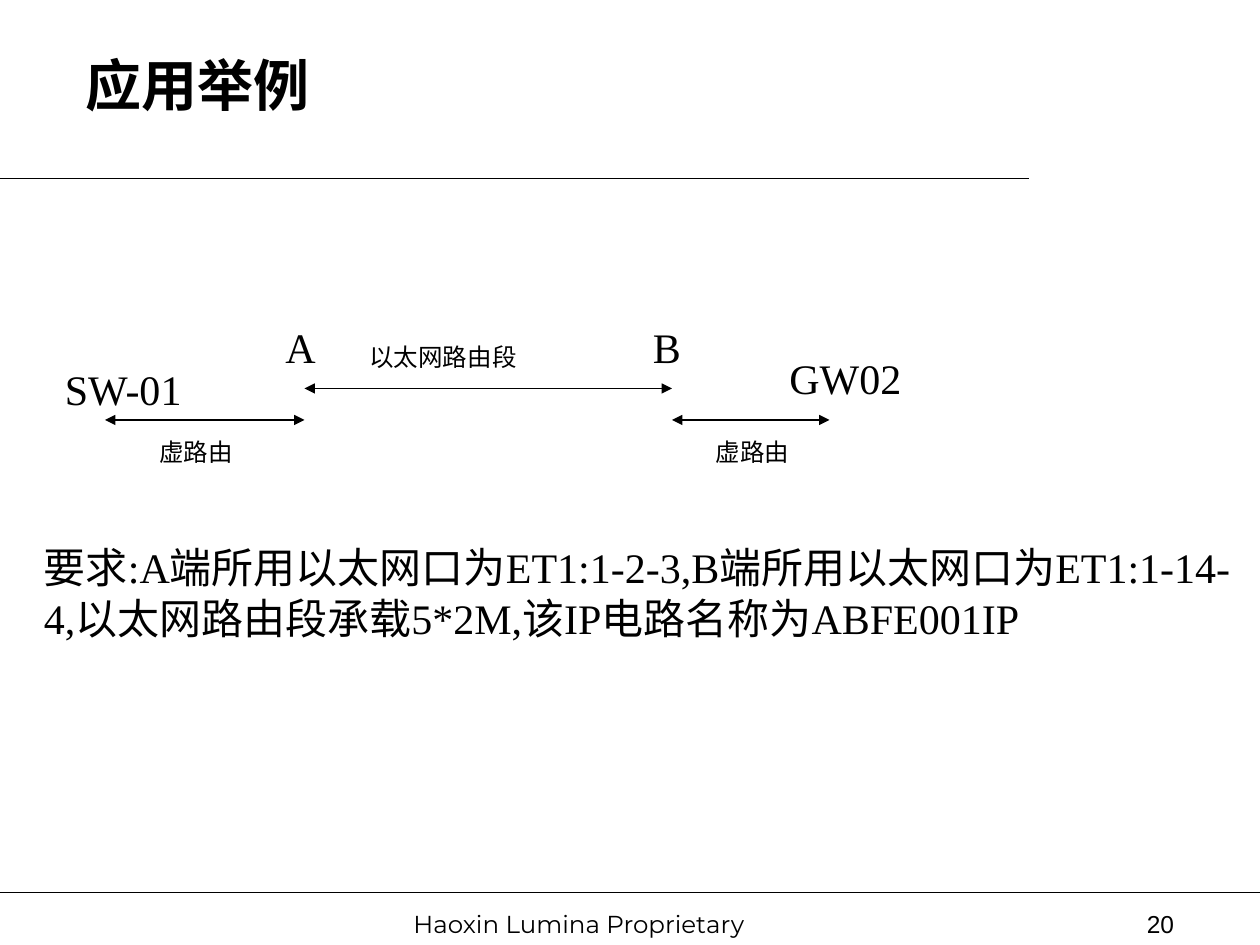
from collections import namedtuple
from dataclasses import dataclass

from lxml import etree
from pptx import Presentation
from pptx.dml.color import RGBColor
from pptx.enum.shapes import MSO_CONNECTOR
from pptx.enum.text import MSO_ANCHOR, PP_ALIGN
from pptx.oxml.ns import qn
from pptx.util import Inches, Pt

STRAIGHT = MSO_CONNECTOR.STRAIGHT
TOP, MIDDLE = MSO_ANCHOR.TOP, MSO_ANCHOR.MIDDLE
LEFT, RIGHT = PP_ALIGN.LEFT, PP_ALIGN.RIGHT

# The slide is a grid of 120 columns by 90 rows
CELL = Inches(10) // 120
COLS, ROWS = 120, 90
Box = namedtuple("Box", "col row cols rows")


@dataclass(frozen=True)
class Theme:
    ink: RGBColor = RGBColor(0, 0, 0)
    paper: RGBColor = RGBColor(255, 255, 255)
    serif: str = "Times New Roman"
    footer: str = "Montserrat"
    number: str = "Arial"
    title: int = 32
    body: int = 24
    small: int = 14
    rule: float = 0.75


THEME = Theme()


def inside(region, col, row, cols, rows):
    """Box given in cells from the region's top left corner."""
    return Box(region.col + col, region.row + row, cols, rows)


def add_text(slide, box, text, size=THEME.small, font=THEME.serif, bold=False,
             align=LEFT, anchor=TOP, indent=0, tab=None):
    holder = slide.shapes.add_textbox(*(CELL * n for n in box))
    frame = holder.text_frame
    frame.word_wrap = True
    frame.vertical_anchor = anchor
    paragraph = frame.paragraphs[0]
    paragraph.alignment = align
    properties = paragraph._p.get_or_add_pPr()
    if indent:
        properties.set("marL", str(Inches(indent)))
    if tab:
        stops = etree.SubElement(properties, qn("a:tabLst"))
        etree.SubElement(stops, qn("a:tab"), pos=str(Inches(tab)), algn="l")
    run = paragraph.add_run()
    run.text = text
    run.font.size = Pt(size)
    run.font.name = font
    run.font.bold = bold
    run.font.color.rgb = THEME.ink


def add_rule(slide, col, row, cols, arrows=False):
    rule = slide.shapes.add_connector(
        STRAIGHT, CELL * col, CELL * row, CELL * (col + cols), CELL * row)
    rule.line.color.rgb = THEME.ink
    rule.line.width = Pt(THEME.rule)
    if arrows:
        outline = rule.line._get_or_add_ln()
        for end in ("a:headEnd", "a:tailEnd"):
            etree.SubElement(outline, qn(end), type="triangle")
    etree.SubElement(rule._element.spPr, qn("a:effectLst"))


def add_header(slide, region):
    add_text(slide, inside(region, 7, 5, 103, 6), "应用举例",
             size=THEME.title, bold=True, anchor=MIDDLE)
    add_rule(slide, region.col, region.row + region.rows, 98)


def add_route_diagram(slide, region):
    # Route segments: column, row, length
    for col, row, cols in ((24, 7, 35), (5, 10, 19), (59, 10, 15)):
        add_rule(slide, region.col + col, region.row + row, cols, arrows=True)

    # Segment labels
    for text, col, row, cols in (("以太网路由段", 29, 2, 25),
                                 ("虚路由", 9, 11, 14),
                                 ("虚路由", 62, 11, 11)):
        add_text(slide, inside(region, col, row, cols, 4), text)

    # Devices and Ethernet ends
    for text, col, row, cols in (("SW-01", 0, 4, 18), ("A", 21, 0, 5),
                                 ("B", 56, 0, 5), ("GW02", 69, 3, 21)):
        add_text(slide, inside(region, col, row, cols, 6), text, size=THEME.body)


def add_requirement(slide, region):
    add_text(slide, region,
             "要求:A端所用以太网口为ET1:1-2-3,B端所用以太网口为ET1:1-14-\t4,"
             "以太网路由段承载5*2M,该IP电路名称为ABFE001IP",
             size=THEME.body, tab=1.28)


def add_footer(slide, region):
    add_rule(slide, region.col, region.row, region.cols)
    add_text(slide, inside(region, 34, 1, 41, 4), "Haoxin Lumina Proprietary",
             font=THEME.footer, indent=0.35)
    add_text(slide, inside(region, 88, 1, 25, 4), "20",
             font=THEME.number, align=RIGHT)


def main():
    deck = Presentation()
    deck.slide_width, deck.slide_height = CELL * COLS, CELL * ROWS
    slide = deck.slides.add_slide(deck.slide_layouts[6])
    slide.background.fill.solid()
    slide.background.fill.fore_color.rgb = THEME.paper

    add_header(slide, Box(0, 0, COLS, 17))
    add_route_diagram(slide, Box(5, 30, 90, 15))
    add_requirement(slide, Box(3, 51, COLS - 3, 11))
    add_footer(slide, Box(0, 85, COLS, 5))
    deck.save("out.pptx")


if __name__ == "__main__":
    main()
